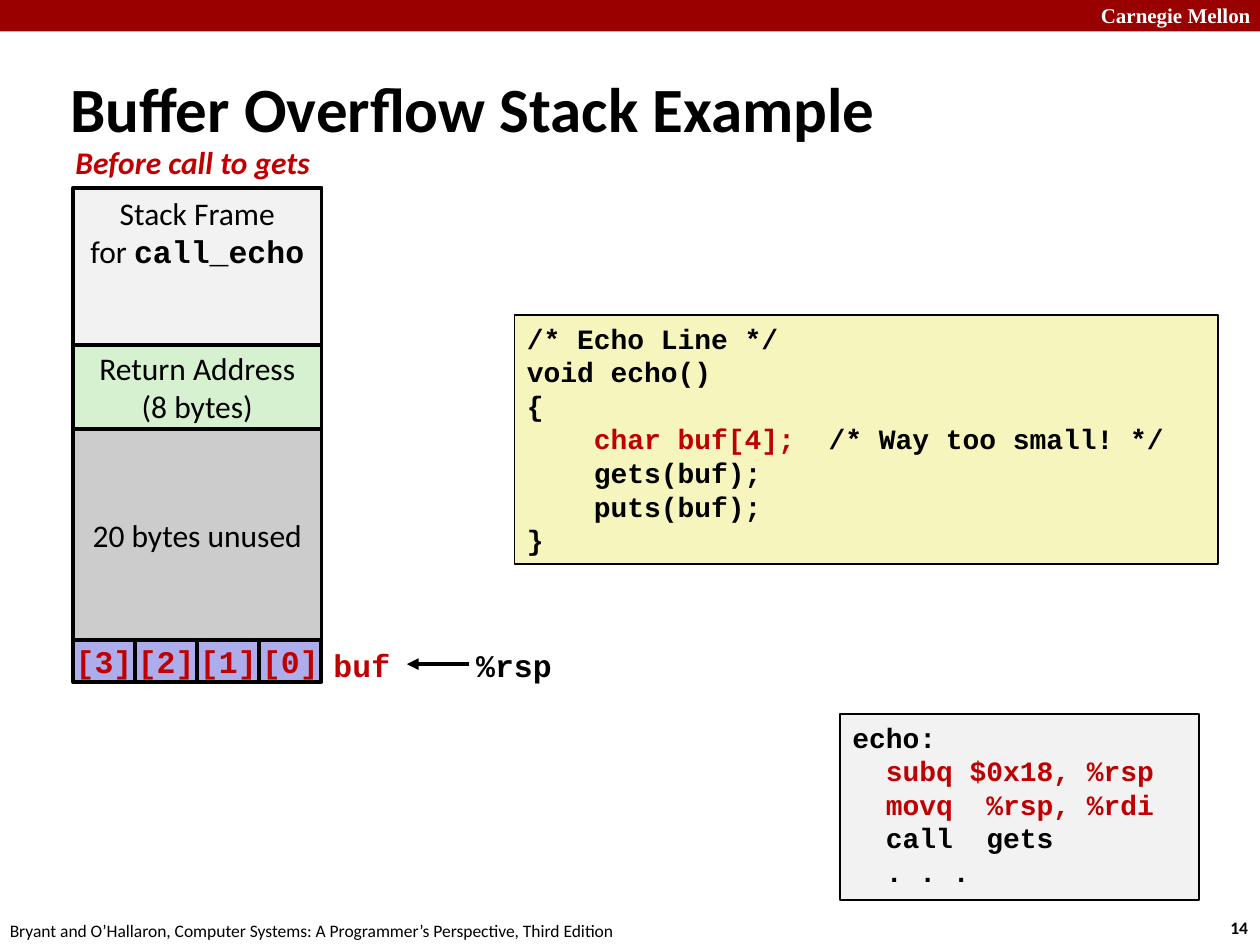
from dataclasses import dataclass
from typing import NamedTuple

from pptx import Presentation
from pptx.dml.color import RGBColor
from pptx.enum.shapes import MSO_CONNECTOR, MSO_SHAPE
from pptx.enum.text import MSO_ANCHOR, MSO_AUTO_SIZE, PP_ALIGN
from pptx.oxml.ns import qn
from pptx.util import Pt
from lxml.etree import SubElement


@dataclass(frozen=True)
class Theme:
    black: str = "000000"
    white: str = "FFFFFF"
    red: str = "C00000"
    banner: str = "990000"
    gray: str = "F2F2F2"
    unused: str = "CCCCCC"
    green: str = "D5F1CF"
    violet: str = "ADADEB"
    yellow: str = "F6F5BD"
    sans: str = "Calibri"
    mono: str = "Courier New"
    serif: str = "Times New Roman"
    title_size: float = 36
    label_size: float = 18
    code_size: float = 16
    banner_size: float = 12
    footer_size: float = 10
    thick: float = 2.25
    thin: float = 1


THEME = Theme()


class Style(NamedTuple):
    size: float
    name: str = THEME.sans
    color: str = THEME.black
    bold: bool = False
    italic: bool = False


class Span(NamedTuple):
    text: str
    style: Style


class Box(NamedTuple):
    left: float
    top: float
    width: float
    height: float


class Block(NamedTuple):
    height: float
    fill: str
    lines: list
    anchor: MSO_ANCHOR = MSO_ANCHOR.MIDDLE


class Label(NamedTuple):
    box: Box
    text: str
    style: Style
    wrap: bool = False
    anchor: MSO_ANCHOR = MSO_ANCHOR.TOP


LABEL = Style(THEME.label_size)
LABEL_CODE = Style(THEME.label_size, THEME.mono, bold=True)
LABEL_RED = LABEL_CODE._replace(color=THEME.red)
CODE = Style(THEME.code_size, THEME.mono, bold=True)
CODE_RED = CODE._replace(color=THEME.red)
FOOTER = Style(THEME.footer_size)


def apply_style(font, style: Style) -> None:
    font.size = Pt(style.size)
    font.name = style.name
    font.bold = style.bold
    font.italic = style.italic
    font.color.rgb = RGBColor.from_string(style.color)


def write_lines(text_frame, lines: list, align: PP_ALIGN = PP_ALIGN.LEFT) -> None:
    """Write one paragraph per line; each line is a list of spans."""
    for index, spans in enumerate(lines):
        paragraph = text_frame.add_paragraph() if index else text_frame.paragraphs[0]
        paragraph.alignment = align
        uniform = len({span.style for span in spans}) == 1
        if uniform:
            apply_style(paragraph.font, spans[0].style)
        for span in spans:
            run = paragraph.add_run()
            run.text = span.text
            if not uniform:
                apply_style(run.font, span.style)


def add_rectangle(slide, box: Box, fill: str, line_width: float = 0):
    shape = slide.shapes.add_shape(MSO_SHAPE.RECTANGLE, *map(Pt, box))
    shape.shadow.inherit = False
    shape.fill.solid()
    shape.fill.fore_color.rgb = RGBColor.from_string(fill)
    if line_width:
        shape.line.color.rgb = RGBColor.from_string(THEME.black)
        shape.line.width = Pt(line_width)
    else:
        shape.line.fill.background()
    return shape


def add_stack_block(slide, box: Box, block: Block) -> None:
    text_frame = add_rectangle(slide, box, block.fill, THEME.thick).text_frame
    text_frame.word_wrap = False
    text_frame.vertical_anchor = block.anchor
    write_lines(text_frame, block.lines, PP_ALIGN.CENTER)


def add_code(slide, box: Box, fill: str, lines: list) -> None:
    text_frame = add_rectangle(slide, box, fill, THEME.thin).text_frame
    text_frame.word_wrap = True
    text_frame.vertical_anchor = MSO_ANCHOR.TOP
    write_lines(text_frame, lines)


def add_label(slide, label: Label) -> None:
    text_frame = slide.shapes.add_textbox(*map(Pt, label.box)).text_frame
    text_frame.word_wrap = label.wrap
    text_frame.auto_size = MSO_AUTO_SIZE.SHAPE_TO_FIT_TEXT
    text_frame.vertical_anchor = label.anchor
    write_lines(text_frame, [[Span(label.text, label.style)]])


def add_arrow(slide, start: float, end: float, y: float) -> None:
    arrow = slide.shapes.add_connector(MSO_CONNECTOR.STRAIGHT, Pt(start), Pt(y), Pt(end), Pt(y))
    arrow.line.color.rgb = RGBColor.from_string(THEME.black)
    arrow.line.width = Pt(THEME.thick)
    SubElement(arrow.line._get_or_add_ln(), qn("a:tailEnd"), type="triangle")
    SubElement(arrow._element.spPr, qn("a:effectLst"))


STACK_LEFT, STACK_TOP, STACK_WIDTH = 41.75, 107.25, 142
CELL_HEIGHT = 24
STACK = [
    Block(90, THEME.gray,
          [[Span("Stack Frame", LABEL)],
           [Span("for ", LABEL), Span("call_echo", LABEL_CODE)]], MSO_ANCHOR.TOP),
    Block(48, THEME.green, [[Span("Return Address", LABEL)], [Span("(8 bytes)", LABEL)]]),
    Block(120.5, THEME.unused, [[Span("20 bytes unused", LABEL)]]),
]
BUFFER_CELLS = ["[3]", "[2]", "[1]", "[0]"]

C_CODE = [
    [Span("/* Echo Line */", CODE)],
    [Span("void echo()", CODE)],
    [Span("{", CODE)],
    [Span("    char buf[4];  ", CODE_RED), Span("/* Way too small! */", CODE)],
    [Span("    gets(buf);", CODE)],
    [Span("    puts(buf);", CODE)],
    [Span("}", CODE)],
]
ASSEMBLY = [
    [Span("echo:", CODE)],
    [Span("  subq $0x18, %rsp", CODE_RED)],
    [Span("  movq  %rsp, %rdi", CODE_RED)],
    [Span("  call  gets", CODE)],
    [Span("  . . .", CODE)],
]
LABELS = [
    Label(Box(622, -2, 103, 21.75), "Carnegie Mellon",
          Style(THEME.banner_size, THEME.serif, THEME.white, bold=True), wrap=True),
    Label(Box(696, 520.75, 27, 19.5), "14", FOOTER._replace(bold=True)),
    Label(Box(-1.5, 522, 367, 19.5),
          "Bryant and O’Hallaron, Computer Systems: A Programmer’s Perspective, Third Edition", FOOTER),
    Label(Box(33, 38.5, 511, 45.5), "Buffer Overflow Stack Example",
          Style(THEME.title_size, bold=True), wrap=True, anchor=MSO_ANCHOR.MIDDLE),
    Label(Box(36, 78, 151, 29), "Before call to gets",
          LABEL._replace(color=THEME.red, bold=True, italic=True)),
    Label(Box(183.5, 365.75, 50, 29), "buf", LABEL_RED),
    Label(Box(265, 365.5, 60, 29), "%rsp", LABEL_CODE),
]


def main() -> None:
    presentation = Presentation()
    presentation.slide_width, presentation.slide_height = Pt(720), Pt(540)
    slide = presentation.slides.add_slide(presentation.slide_layouts[6])

    # Banner, title, captions and footer
    add_rectangle(slide, Box(0, 0, 720, 18), THEME.banner)
    for label in LABELS:
        add_label(slide, label)

    # Stack frames, from the top down, then the buffer bytes
    top = STACK_TOP
    for block in STACK:
        add_stack_block(slide, Box(STACK_LEFT, top, STACK_WIDTH, block.height), block)
        top += block.height
    cell_width = STACK_WIDTH / len(BUFFER_CELLS)
    for index, text in enumerate(BUFFER_CELLS):
        add_stack_block(slide, Box(STACK_LEFT + index * cell_width, top, cell_width, CELL_HEIGHT),
                        Block(CELL_HEIGHT, THEME.violet, [[Span(text, LABEL_RED)]]))
    add_arrow(slide, 268, 232.5, 379.5)

    # Code listings
    add_code(slide, Box(294, 180, 402, 142.5), THEME.yellow, C_CODE)
    add_code(slide, Box(480, 408, 205, 106.5), THEME.gray, ASSEMBLY)

    presentation.save("out.pptx")


if __name__ == "__main__":
    main()
